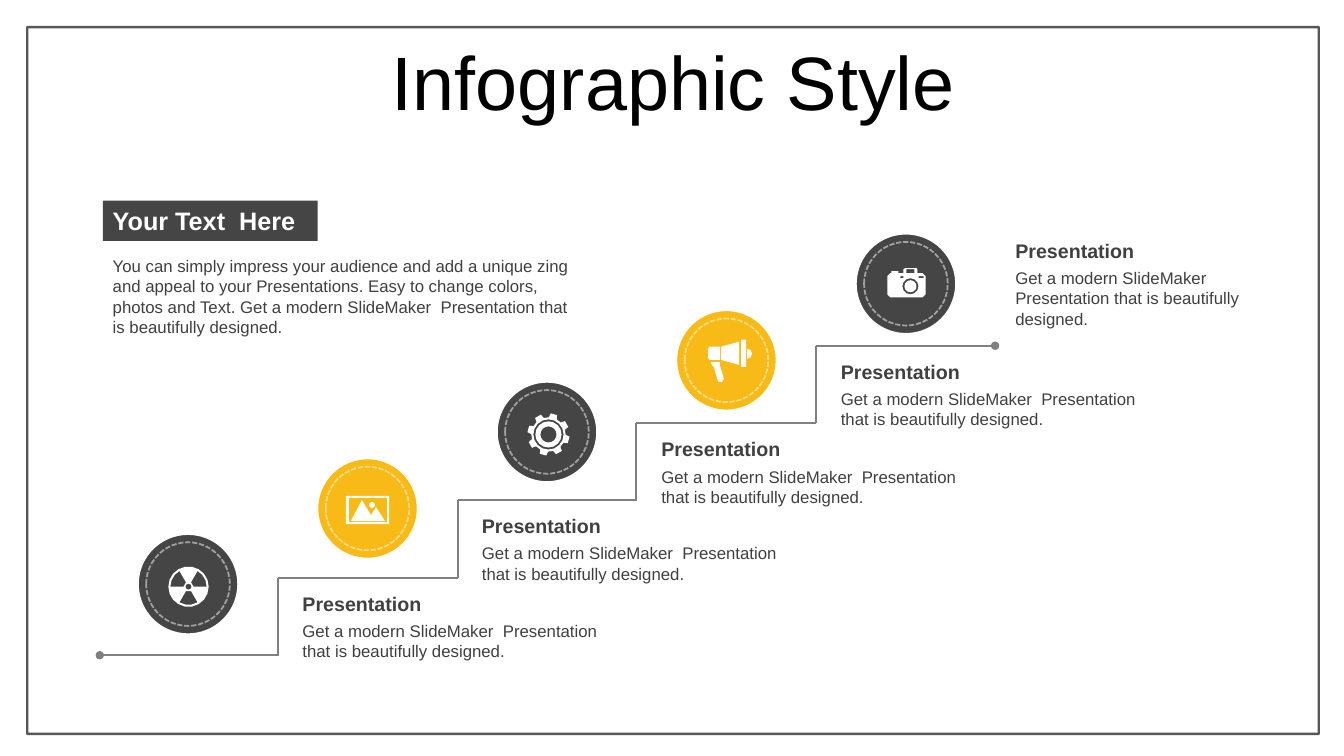
from math import cos, radians, sin

from lxml.etree import SubElement
from pptx import Presentation
from pptx.dml.color import RGBColor
from pptx.enum.dml import MSO_LINE
from pptx.enum.shapes import MSO_CONNECTOR, MSO_SHAPE
from pptx.enum.text import MSO_ANCHOR, PP_ALIGN
from pptx.oxml.ns import qn
from pptx.util import Inches, Pt

rgb = RGBColor.from_string
DARK, GOLD, WHITE, GREY, TEXT = "454545", "F8BA16", "FFFFFF", "808080", "404040"


def style(s, fill=None, line=None, width=1, alpha=100):
    """Set fill and outline (alpha is the opacity of the outline) and drop the shadow."""
    s.shadow.inherit = False
    if fill:
        s.fill.solid()
        s.fill.fore_color.rgb = rgb(fill)
    else:
        s.fill.background()
    if line:
        s.line.color.rgb = rgb(line)
        s.line.width = Pt(width)
        if alpha < 100:
            color = s.line._ln.find(".//" + qn("a:srgbClr"))
            SubElement(color, qn("a:alpha"), val=str(alpha * 1000))
    else:
        s.line.fill.background()


def arc(cx, cy, r, n=12, start=0, end=360):
    """Points on a circle in n steps, clockwise from the right; a full turn is left open."""
    count = n if end - start == 360 else n + 1
    angles = [radians(start + (end - start) * i / n) for i in range(count)]
    return [(cx + r * cos(a), cy + r * sin(a)) for a in angles]


prs = Presentation()
prs.slide_width, prs.slide_height = Inches(13.33), Inches(7.5)
slide = prs.slides.add_slide(prs.slide_layouts[6])
shapes = slide.shapes

frame = shapes.add_shape(MSO_SHAPE.RECTANGLE, Inches(0.27), Inches(0.27),
                         Inches(12.81), Inches(7.01))
style(frame, line=DARK, width=1.75, alpha=90)

# Staircase: five treads and the four risers between them
PITCH = 1.78
tread_xs = [0.99, 2.76, 4.54, 6.31, 8.09]
tread_ys = [6.5, 5.73, 4.96, 4.2, 3.43]
segments = []
for i, (x, y) in enumerate(zip(tread_xs, tread_ys)):
    dot = {0: "a:headEnd", 4: "a:tailEnd"}.get(i)
    segments.append((x, y, x + PITCH, y, dot))
    if i:
        segments.append((x, y, x, tread_ys[i - 1], None))
for x1, y1, x2, y2, dot in segments:
    s = shapes.add_connector(MSO_CONNECTOR.STRAIGHT, Inches(x1), Inches(y1),
                             Inches(x2), Inches(y2))
    s.line.color.rgb = rgb(GREY)
    s.line.width = Pt(1.5)
    if dot:
        SubElement(s.line._ln, qn(dot), type="oval")
    SubElement(s._element.spPr, qn("a:effectLst"))

# Badges standing on the treads
for i, y in enumerate([5.3, 4.55, 3.79, 3.08, 2.32]):
    x = 1.37 + i * PITCH
    disc = shapes.add_shape(MSO_SHAPE.OVAL, Inches(x), Inches(y), Inches(0.99), Inches(0.99))
    style(disc, GOLD if i % 2 else DARK, WHITE)
    ring = shapes.add_shape(MSO_SHAPE.OVAL, Inches(x + 0.08), Inches(y + 0.08),
                            Inches(0.83), Inches(0.83))
    style(ring, line=WHITE, width=1.25, alpha=50)
    ring.line.dash_style = MSO_LINE.SQUARE_DOT

# Icons: each is a list of outlines, nested ones cut holes
radiation = [arc(1.87, 5.82, 0.2, 18), arc(1.87, 5.82, 0.03, 8)]
for start in (60, 180, 300):
    radiation.append(arc(1.87, 5.82, 0.18, 3, start, start + 60)
                     + arc(1.87, 5.82, 0.05, 1, start + 60, start))

photo = [
    [(3.43, 4.92), (3.86, 4.92), (3.86, 5.2), (3.43, 5.2)],
    [(3.46, 4.94), (3.84, 4.94), (3.84, 5.18), (3.46, 5.18)],
    [(3.59, 4.96), (3.68, 5.11), (3.73, 5.03), (3.82, 5.17), (3.48, 5.17)],
    arc(3.69, 5.01, 0.03, 8),
]

teeth = [(5.44 + r * cos(radians(a + da)), 4.31 + r * sin(radians(a + da)))
         for a in range(-75, 285, 45)
         for da, r in ((-14, 0.17), (-9, 0.21), (9, 0.21), (14, 0.17))]
gear = [teeth] + [arc(5.44, 4.31, r, 16) for r in (0.15, 0.13, 0.08)]

megaphone = [
    [(7.05, 3.59), (7.14, 3.59), (7.14, 3.62), (7.18, 3.76), (7.16, 3.79),
     (7.13, 3.79), (7.12, 3.78), (7.08, 3.64), (7.06, 3.62)],
    arc(7.41, 3.51, 0.05, 4, -90, 90),
    [(7.04, 3.44), (7.14, 3.44), (7.14, 3.57), (7.04, 3.57), (7.02, 3.55), (7.02, 3.46)],
    [(7.33, 3.39), (7.33, 3.62), (7.15, 3.57), (7.15, 3.44)],
    [(7.35, 3.37), (7.4, 3.37), (7.4, 3.64), (7.35, 3.64)],
]

camera = [
    [(8.98, 2.66), (9.09, 2.66), (9.1, 2.67), (9.1, 2.71), (9.15, 2.71), (9.18, 2.74),
     (9.18, 2.92), (9.15, 2.95), (8.83, 2.95), (8.8, 2.92), (8.8, 2.74), (8.83, 2.71),
     (8.84, 2.71), (8.84, 2.69), (8.91, 2.69), (8.91, 2.71), (8.96, 2.71), (8.96, 2.67)],
    [(8.99, 2.67), (9.07, 2.67), (9.07, 2.71), (8.99, 2.71)],
    [(8.93, 2.74), (8.96, 2.74), (8.96, 2.76), (8.93, 2.76)],
    [(9.11, 2.74), (9.16, 2.74), (9.16, 2.76), (9.11, 2.76)],
    arc(9.03, 2.84, 0.08),
    arc(9.03, 2.84, 0.06),
]

for icon in (radiation, photo, gear, megaphone, camera):
    outlines = [[(Inches(x), Inches(y)) for x, y in outline] for outline in icon]
    builder = shapes.build_freeform(*outlines[0][0])
    builder.add_line_segments(outlines[0][1:])
    for outline in outlines[1:]:
        builder.move_to(*outline[0])
        builder.add_line_segments(outline[1:])
    style(builder.convert_to_shape(), WHITE)

# Texts: left, top, width, height, text, size, colour, bold, side inset
DETAIL = "Get a modern SlideMaker  Presentation that is beautifully designed."
INTRO = ("You can simply impress your audience and add a unique zing and appeal to your "
         "Presentations. Easy to change colors, photos and Text. Get a modern SlideMaker  "
         "Presentation that is beautifully designed.")
texts = [
    (0.35, 0.46, 12.66, 0.79, "Infographic Style", 54, "000000", False, 0.1),
    (1.02, 1.99, 2.13, 0.4, "Your Text  Here", 18, WHITE, True, 0.1),
    (1.02, 2.49, 4.8, 0.91, INTRO, 12, TEXT, False, 0.1),
]
captions = [(3 + i * PITCH, y + 0.09, 3.06, 0.5) for i, y in enumerate(tread_ys[1:])]
captions.append((10.07, 2.32, 2.47, 0.71))
for x, y, w, h in captions:
    texts.append((x, y, w, 0.34, "Presentation", 14, TEXT, True, 0))
    texts.append((x, y + 0.29, w, h, DETAIL, 12, TEXT, False, 0))

for x, y, w, h, text, size, color, bold, inset in texts:
    s = shapes.add_textbox(Inches(x), Inches(y), Inches(w), Inches(h))
    tf = s.text_frame
    tf.word_wrap = True
    tf.margin_left = tf.margin_right = Inches(inset)
    p = tf.paragraphs[0]
    r = p.add_run()
    r.text = text
    r.font.name = "Arial"
    r.font.size = Pt(size)
    r.font.bold = bold
    r.font.color.rgb = rgb(color)
    if color == WHITE:
        s.fill.solid()
        s.fill.fore_color.rgb = rgb(DARK)
    if size == 54:
        tf.vertical_anchor = MSO_ANCHOR.MIDDLE
        p.alignment = PP_ALIGN.CENTER
        p.line_spacing = 0.9

prs.save("out.pptx")
